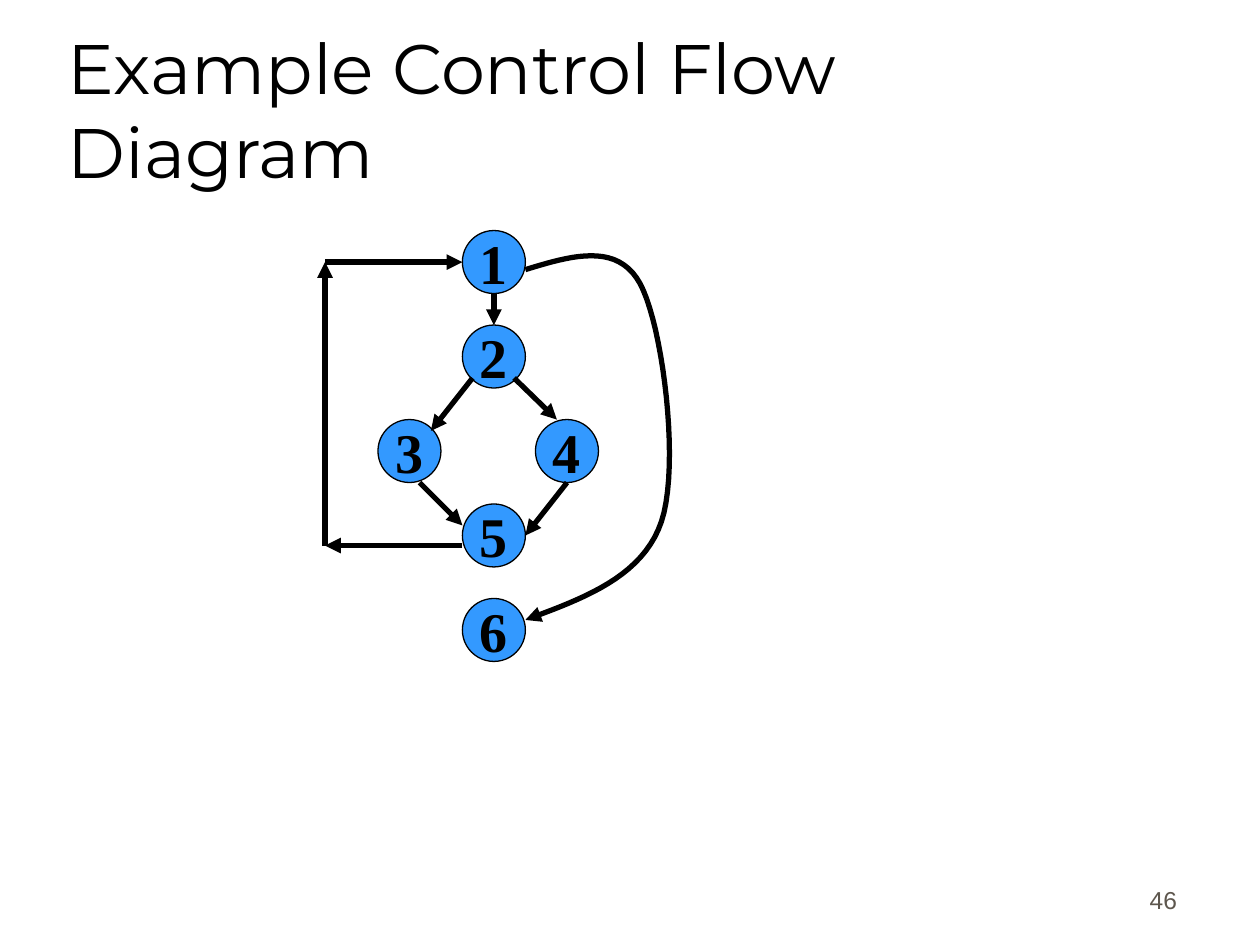
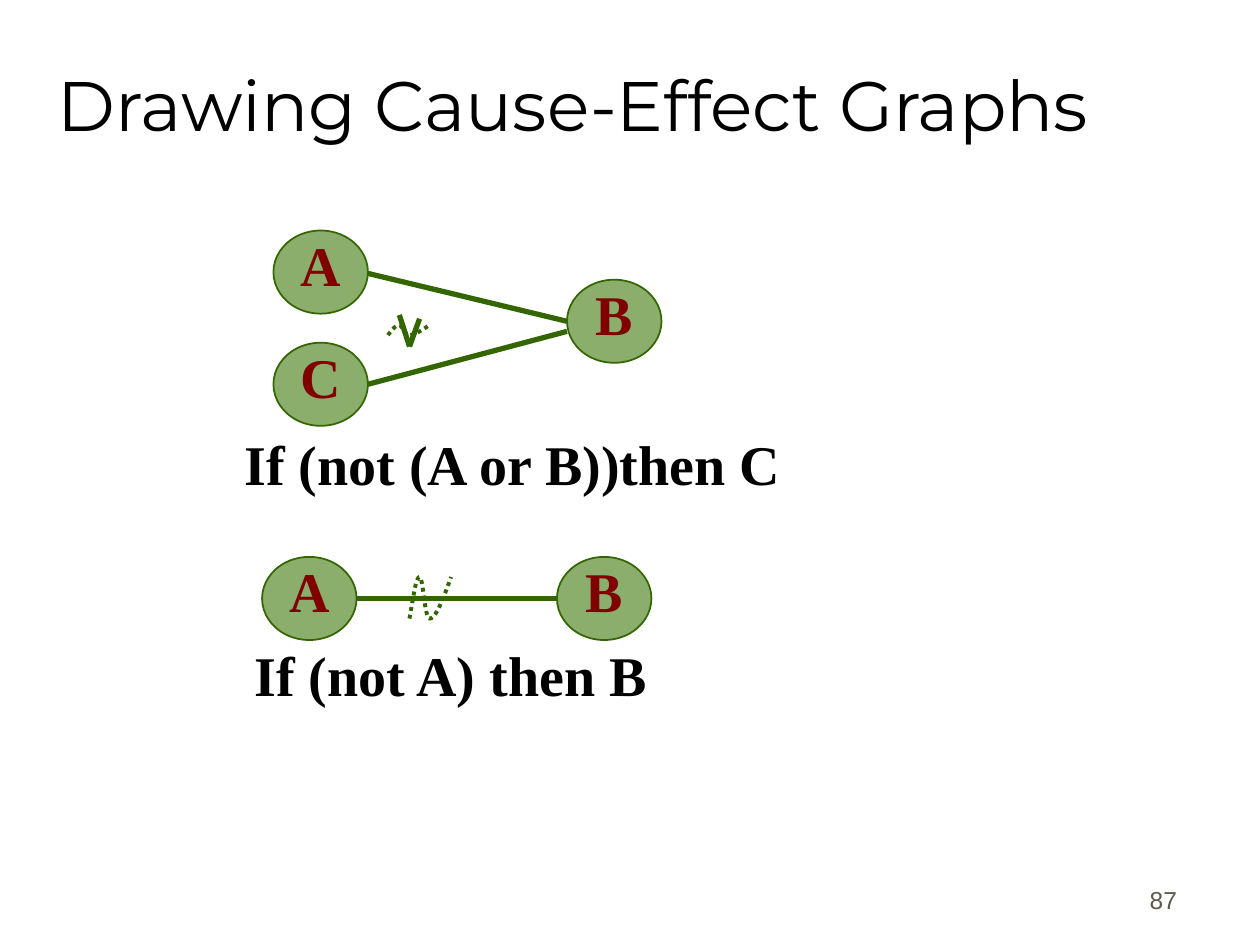
from dataclasses import dataclass

import pptx
import pptx.util
import pptx.dml.color
import pptx.enum.dml
import pptx.enum.shapes
import pptx.enum.text
import pptx.oxml
import pptx.oxml.ns
from pptx.util import Inches

COLORS = {
    "paper": "FFFFFF",
    "ink": "000000",
    "page_number": "5E574E",
    "flow_node": "3399FF",
    "cause_node": "8BAE6C",
    "cause_edge": "336600",
    "cause_label": "800000",
}
TITLE_FONT = "Montserrat"
LABEL_FONT = "Times New Roman"
NUMBER_FONT = "Arial"
ANCHOR = pptx.enum.text.MSO_ANCHOR
ALIGN = pptx.enum.text.PP_ALIGN
DASH = pptx.enum.dml.MSO_LINE
CURVE_STEPS = 20

Point = tuple[float, float]


@dataclass(frozen=True)
class NodeStyle:
    width: float
    height: float
    fill: str
    edge: str
    edge_width: float
    label: str
    inset: float
    wrap: bool
    line_spacing: float | None = None
    space_before: float = 0


@dataclass(frozen=True)
class Node:
    label: str
    left: float
    top: float


@dataclass(frozen=True)
class Edge:
    start: Point
    end: Point


@dataclass(frozen=True)
class Caption:
    text: str
    left: float
    top: float
    width: float


FLOW_STYLE = NodeStyle(0.5, 0.5, "flow_node", "ink", 0.75, "ink", 0.1, False)
CAUSE_STYLE = NodeStyle(0.75, 0.66, "cause_node", "cause_edge", 1,
                        "cause_label", 0.02, True, 0.72, 7.1)

FLOW_NODES = [
    Node("1", 3.67, 1.83),
    Node("2", 3.67, 2.58),
    Node("3", 3, 3.33),
    Node("4", 4.25, 3.33),
    Node("5", 3.67, 4),
    Node("6", 3.67, 4.75),
]
FLOW_EDGES = [
    Edge((3.92, 2.33), (3.92, 2.58)),
    Edge((3.75, 3), (3.42, 3.42)),
    Edge((4.08, 3), (4.42, 3.33)),
    Edge((3.33, 3.83), (3.67, 4.17)),
    Edge((4.5, 3.83), (4.17, 4.25)),
    Edge((3.67, 4.33), (2.58, 4.33)),
    Edge((2.58, 4.33), (2.58, 2.08)),
    Edge((2.58, 2.08), (3.67, 2.08)),
]
EXIT_CURVE = [
    (4.17, 2.14), (4.53, 2.03), (4.9, 1.92), (5.08, 2.25), (5.26, 2.58),
    (5.4, 3.69), (5.25, 4.14), (5.1, 4.58), (4.63, 4.75), (4.17, 4.92),
]

CAUSE_NODES = [
    Node("A", 2.17, 1.83),
    Node("B", 4.5, 2.22),
    Node("C", 2.17, 2.72),
    Node("A", 2.08, 4.42),
    Node("B", 4.42, 4.42),
]
CAUSE_EDGES = [
    Edge((2.92, 2.17), (4.5, 2.55)),
    Edge((2.92, 3.05), (4.5, 2.63)),
    Edge((3.25, 2.75), (3.17, 2.5)),
    Edge((3.25, 2.75), (3.33, 2.53)),
    Edge((2.83, 4.75), (4.42, 4.75)),
]
NEGATION_CURVES = [
    [(3.08, 2.66), (3.11, 2.62), (3.14, 2.58), (3.17, 2.58), (3.19, 2.58),
     (3.21, 2.66), (3.25, 2.66), (3.29, 2.66), (3.35, 2.62), (3.41, 2.58)],
    [(3.25, 4.91), (3.28, 4.75), (3.3, 4.58), (3.33, 4.58), (3.36, 4.58),
     (3.37, 4.91), (3.41, 4.91), (3.46, 4.91), (3.52, 4.75), (3.58, 4.58)],
]
CAPTIONS = [
    Caption("If (not (A or B))then C", 1.92, 3.5, 4.83),
    Caption("If (not A) then B", 2, 5.17, 3.66),
]


def rgb(color: str) -> pptx.dml.color.RGBColor:
    return pptx.dml.color.RGBColor.from_string(COLORS[color])


def write_text(shape, text: str, *, size: float, font: str, color: str = "ink",
               bold: bool = False, align=ALIGN.LEFT, anchor=ANCHOR.TOP,
               inset: float = 0.1, wrap: bool = True,
               line_spacing: float | None = None,
               space_before: float = 0) -> None:
    frame = shape.text_frame
    frame.word_wrap = wrap
    frame.vertical_anchor = anchor
    frame.margin_left = frame.margin_right = Inches(inset)
    frame.margin_top = frame.margin_bottom = Inches(0.05)
    paragraph = frame.paragraphs[0]
    paragraph.alignment = align
    paragraph.line_spacing = line_spacing
    paragraph.space_before = pptx.util.Pt(space_before)
    run = paragraph.add_run()
    run.text = text
    run.font.size = pptx.util.Pt(size)
    run.font.name = font
    run.font.bold = bold
    run.font.color.rgb = rgb(color)


def add_text(slide, text: str, left: float, top: float, width: float,
             height: float, **text_format) -> None:
    box = slide.shapes.add_textbox(Inches(left), Inches(top),
                                   Inches(width), Inches(height))
    write_text(box, text, **text_format)


def style_line(shape, color: str, width: float) -> None:
    shape.line.color.rgb = rgb(color)
    shape.line.width = pptx.util.Pt(width)


def add_arrowhead(shape) -> None:
    tail = pptx.oxml.parse_xml(
        f'<a:tailEnd {pptx.oxml.ns.nsdecls("a")} type="triangle"/>')
    shape.line._get_or_add_ln().append(tail)


def draw_node(slide, node: Node, style: NodeStyle) -> None:
    oval = slide.shapes.add_shape(
        pptx.enum.shapes.MSO_SHAPE.OVAL, Inches(node.left), Inches(node.top),
        Inches(style.width), Inches(style.height))
    oval.shadow.inherit = False
    oval.fill.solid()
    oval.fill.fore_color.rgb = rgb(style.fill)
    style_line(oval, style.edge, style.edge_width)
    write_text(oval, node.label, size=32, font=LABEL_FONT, color=style.label,
               bold=True, align=ALIGN.CENTER, anchor=ANCHOR.MIDDLE,
               inset=style.inset, wrap=style.wrap,
               line_spacing=style.line_spacing,
               space_before=style.space_before)


def draw_edge(slide, edge: Edge, color: str, arrow: bool = False) -> None:
    line = slide.shapes.add_connector(
        pptx.enum.shapes.MSO_CONNECTOR.STRAIGHT,
        *(Inches(value) for value in edge.start + edge.end))
    style_line(line, color, 3)
    if arrow:
        add_arrowhead(line)
    line._element.spPr.append(pptx.oxml.parse_xml(
        f'<a:effectLst {pptx.oxml.ns.nsdecls("a")}/>'))


def bezier_point(controls: list[Point], t: float) -> Point:
    weights = ((1 - t) ** 3, 3 * t * (1 - t) ** 2, 3 * t ** 2 * (1 - t), t ** 3)
    x, y = (sum(w * value for w, value in zip(weights, axis))
            for axis in zip(*controls))
    return Inches(x), Inches(y)


def draw_curve(slide, controls: list[Point], color: str, width: float,
               dash=None, arrow: bool = False) -> None:
    points = [bezier_point(controls[first:first + 4], step / CURVE_STEPS)
              for first in range(0, len(controls) - 1, 3)
              for step in range(1, CURVE_STEPS + 1)]
    start_x, start_y = controls[0]
    builder = slide.shapes.build_freeform(Inches(start_x), Inches(start_y))
    builder.add_line_segments(points, close=False)
    curve = builder.convert_to_shape()
    curve.shadow.inherit = False
    curve.fill.background()
    style_line(curve, color, width)
    if dash is not None:
        curve.line.dash_style = dash
    if arrow:
        add_arrowhead(curve)


def add_slide(deck, title: str, number: str, title_top: float, **title_format):
    slide = deck.slides.add_slide(deck.slide_layouts[6])
    slide.background.fill.solid()
    slide.background.fill.fore_color.rgb = rgb("paper")
    add_text(slide, number, 7.36, 6.81, 2.08, 0.5, size=14, font=NUMBER_FONT,
             color="page_number", align=ALIGN.RIGHT, anchor=ANCHOR.BOTTOM,
             space_before=8.8)
    add_text(slide, title, 0.44, title_top, 8.5, 1.25, size=40,
             font=TITLE_FONT, **title_format)
    return slide


def build_control_flow(deck) -> None:
    slide = add_slide(deck, "Example Control Flow Diagram", "46", 0.33,
                      anchor=ANCHOR.BOTTOM)
    for node in FLOW_NODES:
        draw_node(slide, node, FLOW_STYLE)
    for edge in FLOW_EDGES:
        draw_edge(slide, edge, "ink", arrow=True)
    draw_curve(slide, EXIT_CURVE, "ink", 3, arrow=True)


def build_cause_effect(deck) -> None:
    slide = add_slide(deck, "Drawing Cause-Effect Graphs", "87", 0.2,
                      anchor=ANCHOR.MIDDLE, inset=0.02, space_before=5.2)
    for node in CAUSE_NODES:
        draw_node(slide, node, CAUSE_STYLE)
    for edge in CAUSE_EDGES:
        draw_edge(slide, edge, "cause_edge")
    for controls in NEGATION_CURVES:
        draw_curve(slide, controls, "cause_edge", 2.25, dash=DASH.ROUND_DOT)
    for caption in CAPTIONS:
        add_text(slide, caption.text, caption.left, caption.top, caption.width,
                 0.63, size=32, font=LABEL_FONT, bold=True, inset=0.02,
                 line_spacing=0.72, space_before=18.3)


def main() -> None:
    deck = pptx.Presentation()
    deck.slide_width = Inches(10)
    deck.slide_height = Inches(7.5)
    build_control_flow(deck)
    build_cause_effect(deck)
    deck.save("out.pptx")


if __name__ == "__main__":
    main()
